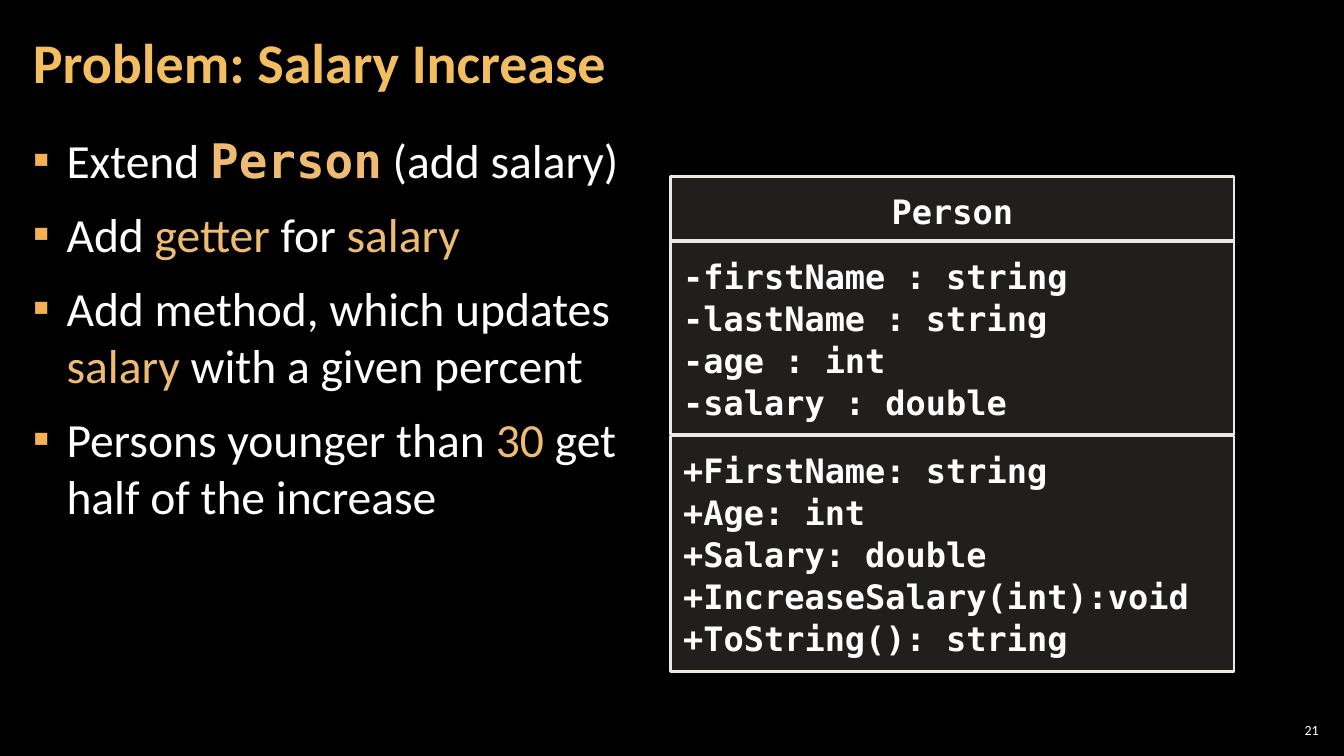
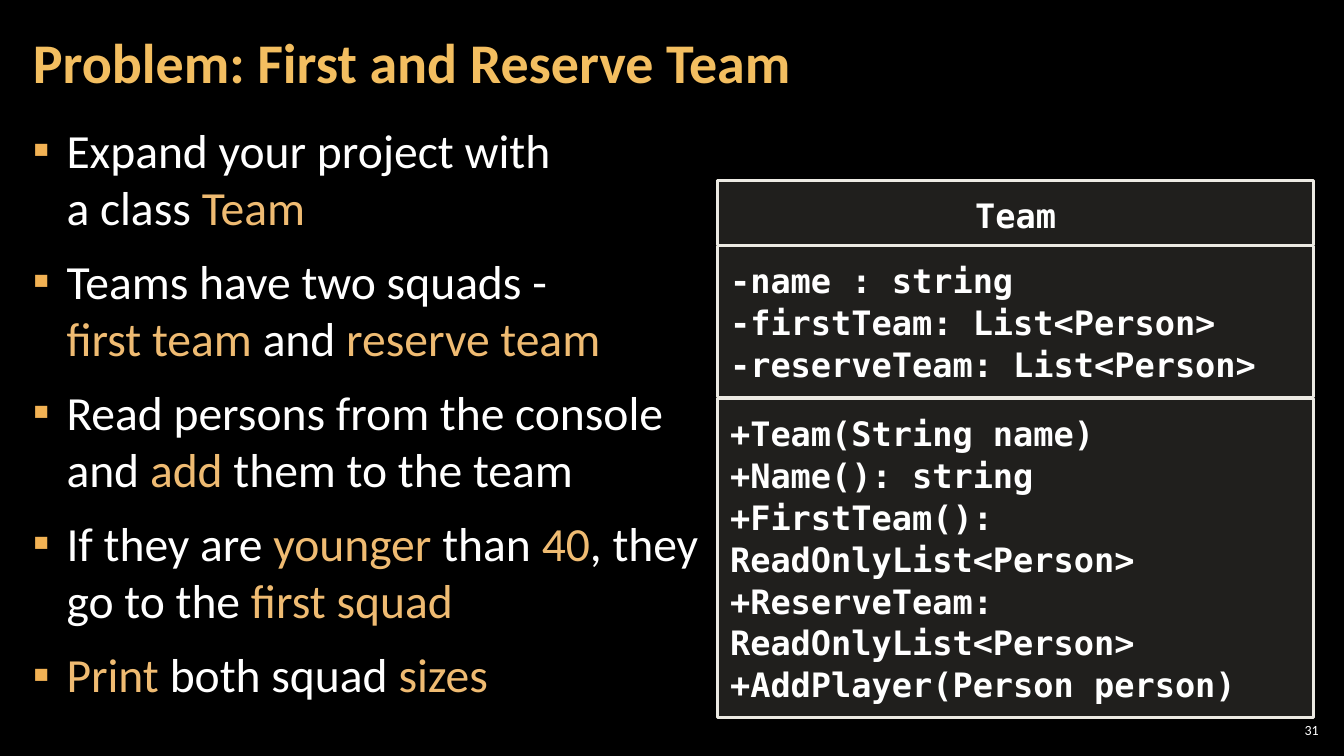
from lxml import etree
from pptx import Presentation
from pptx.dml.color import RGBColor
from pptx.enum.shapes import MSO_SHAPE
from pptx.enum.text import MSO_ANCHOR, MSO_AUTO_SIZE, PP_ALIGN
from pptx.oxml.ns import qn
from pptx.util import Pt

RECT = MSO_SHAPE.RECTANGLE
TOP, MIDDLE = MSO_ANCHOR.TOP, MSO_ANCHOR.MIDDLE
LEFT, CENTER, RIGHT = PP_ALIGN.LEFT, PP_ALIGN.CENTER, PP_ALIGN.RIGHT
NO_FIT = MSO_AUTO_SIZE.NONE

COLORS = {"back": "000000", "text": "FFFFFF", "title": "F3BE60", "accent": "EFBB72",
          "bullet": "F2B254", "box": "D9D5C7", "line": "ECEAE3"}
SANS, MONO = "Calibri", "DejaVu Sans Mono"
FONTS = {
    "title": dict(name=SANS, size=Pt(40), bold=True, color="title"),
    "plain": dict(name=SANS, size=Pt(34), bold=False, color="text"),
    "accent": dict(name=SANS, size=Pt(34), bold=False, color="accent"),
    "code": dict(name=MONO, size=Pt(34), bold=True, color="accent"),
    "member": dict(name=MONO, size=Pt(24), bold=True, color="text"),
    "number": dict(name=SANS, size=Pt(10), bold=False, color="text"),
}
MARGIN = 15
CODE_LINE, BOX_PAD, BOX_GAP = 30, 9, 0.7


def rgb(key):
    return RGBColor.from_string(COLORS[key])


def apply(obj, **values):
    for name, value in values.items():
        setattr(obj, name, value)


class Deck:
    def __init__(self):
        self.prs = Presentation()
        apply(self.prs, slide_width=Pt(960), slide_height=Pt(540))
        self.s = None

    def slide(self, title, number):
        self.s = self.prs.slides.add_slide(self.prs.slide_layouts[1])
        fill = self.s.background.fill
        fill.solid()
        fill.fore_color.rgb = rgb("back")
        # Title
        sp = self.s.shapes.title
        self.place(sp, MARGIN, 3, 754, 87)
        tf = self.frame(sp, MIDDLE, 8.5, 3)
        self.add_text(tf.paragraphs[0], title, "title", alignment=LEFT, line_spacing=0.9)
        # Slide number
        sp = self.s.shapes.add_textbox(Pt(911), Pt(514), Pt(34), Pt(15))
        tf = self.frame(sp, MIDDLE, 3, 3)
        self.add_text(tf.paragraphs[0], str(number), "number", alignment=RIGHT)

    def place(self, sp, x, y, w, h):
        apply(sp, left=Pt(x), top=Pt(y), width=Pt(w), height=Pt(h))

    def frame(self, sp, anchor, pad_x, pad_y):
        tf = sp.text_frame
        apply(tf, word_wrap=True, auto_size=NO_FIT, vertical_anchor=anchor,
              margin_left=Pt(pad_x), margin_right=Pt(pad_x),
              margin_top=Pt(pad_y), margin_bottom=Pt(pad_y))
        return tf

    def add_text(self, p, text, style, **layout):
        apply(p, **layout)
        for i, line in enumerate(text.split("\n")):
            if i:
                p.add_line_break()
            if line:
                r = p.add_run()
                r.text = line
                values = dict(FONTS[style])
                r.font.color.rgb = rgb(values.pop("color"))
                apply(r.font, **values)

    def paragraphs(self, tf, items):
        """Yield one paragraph of the frame for each item."""
        for i, item in enumerate(items):
            yield (tf.add_paragraph() if i else tf.paragraphs[0]), item

    def bullet(self, p):
        pPr = p._p.get_or_add_pPr()
        pPr.set("marL", str(Pt(24)))
        pPr.set("indent", str(-Pt(24)))
        clr = etree.SubElement(pPr, qn("a:buClr"))
        etree.SubElement(clr, qn("a:srgbClr"), val=COLORS["bullet"])
        etree.SubElement(pPr, qn("a:buFont"), typeface=SANS)
        etree.SubElement(pPr, qn("a:buChar"), char="▪")

    def bullets(self, y, w, items):
        """Each item is a list of plain strings and (text, style) pairs."""
        sp = self.s.placeholders[1]
        self.place(sp, MARGIN, y, w, 438.5)
        tf = self.frame(sp, TOP, 8.5, 3)
        for p, runs in self.paragraphs(tf, items):
            apply(p, alignment=LEFT, space_before=Pt(6), space_after=Pt(6))
            self.bullet(p)
            for run in runs:
                text, style = (run, "plain") if isinstance(run, str) else run
                self.add_text(p, text, style)

    def box(self, group, x, y, w, h, lines, align):
        sp = group.shapes.add_shape(RECT, Pt(x), Pt(y), Pt(w), Pt(h))
        sp.shadow.inherit = False
        sp.fill.solid()
        sp.fill.fore_color.rgb = rgb("box")
        clr = sp._element.spPr.find(qn("a:solidFill")).find(qn("a:srgbClr"))
        etree.SubElement(clr, qn("a:alpha"), val="15000")
        sp.line.color.rgb = rgb("line")
        sp.line.width = Pt(2)
        tf = self.frame(sp, TOP, BOX_PAD, BOX_PAD)
        for p, line in self.paragraphs(tf, lines):
            self.add_text(p, line, "member", alignment=align, line_spacing=Pt(CODE_LINE))

    def class_diagram(self, x, y, w, name, fields, methods, wrapped=0):
        """Stack name, fields and methods; wrapped counts extra method lines."""
        group = self.s.shapes.add_group_shape()
        parts = [([name], 0, CENTER), (fields, 0, LEFT), (methods, wrapped, LEFT)]
        for lines, extra, align in parts:
            h = (len(lines) + extra) * CODE_LINE + 2 * BOX_PAD
            if align == CENTER:
                h -= 2
            self.box(group, x, y, w, h, lines, align)
            y += h + BOX_GAP


def hi(text):
    return text, "accent"


def main():
    deck = Deck()

    # Salary increase
    deck.slide("Problem: Salary Increase", 21)
    deck.bullets(90.5, 929.5, [
        ["Extend ", ("Person", "code"), " (add salary)"],
        ["Add ", hi("getter"), " for ", hi("salary")],
        ["Add method, which updates\n", hi("salary"), " with a given percent"],
        ["Persons younger than ", hi("30"), " get\nhalf of the increase"],
    ])
    deck.class_diagram(
        479, 126, 402.5, "Person",
        ["-firstName : string", "-lastName : string", "-age : int", "-salary : double"],
        ["+FirstName: string", "+Age: int", "+Salary: double",
         "+IncreaseSalary(int):void", "+ToString(): string"])

    # First and reserve team
    deck.slide("Problem: First and Reserve Team", 31)
    deck.bullets(83.5, 519, [
        ["Expand your project with\na class ", hi("Team")],
        ["Teams have two squads -\n", hi("first team "), "and ", hi("reserve team")],
        ["Read persons from the console and ", hi("add"), " them to the team"],
        ["If they are ", hi("younger"), " than ", hi("40"), ", they\ngo to the ",
         hi("first squad")],
        [hi("Print "), "both squad ", hi("sizes")],
    ])
    deck.class_diagram(
        512.5, 129, 426, "Team",
        ["-name : string", "-firstTeam: List<Person>", "-reserveTeam: List<Person>"],
        ["+Team(String name)", "+Name(): string", "+FirstTeam(): ReadOnlyList<Person>",
         "+ReserveTeam: ReadOnlyList<Person>", "+AddPlayer(Person person)"],
        wrapped=2)

    deck.prs.save("out.pptx")


if __name__ == "__main__":
    main()
